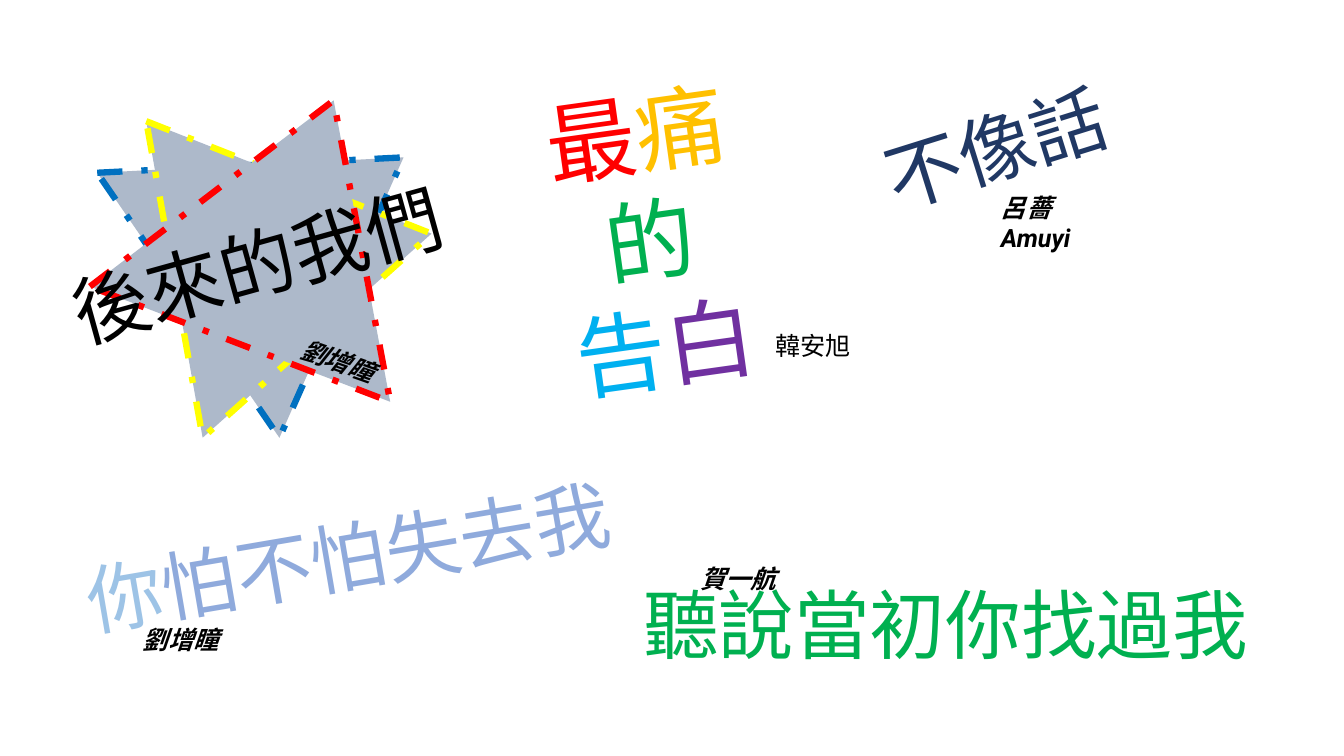
"""Build a slide of song titles and singers around a star of dash-dot triangles."""
from pptx import Presentation
from pptx.dml.color import RGBColor
from pptx.enum.dml import MSO_LINE
from pptx.enum.shapes import MSO_SHAPE
from pptx.enum.text import MSO_AUTO_SIZE, PP_ALIGN
from pptx.util import Inches, Pt

THEME = {
    "star": "ADB9CA", "black": "000000", "blue": "0070C0", "yellow": "FFFF00",
    "red": "FF0000", "gold": "FFC000", "green": "00B050", "cyan": "00B0F0",
    "purple": "7030A0", "sky": "9DC3E6", "periwinkle": "8FAADC", "navy": "203864",
    "big": 64, "title": 54, "singer": 18, "outline": 4.5,
    "title_font": "Open Sans", "singer_font": "Roboto",
}

TRIANGLE_SIZE = (3.19, 2.59)
TRIANGLES = [
    (1.34, 1.00, 55.5, "blue"),
    (1.41, 1.25, 79.9, "yellow"),
    (1.25, 0.91, 21, "red"),
]

TITLES = [
    {"box": (0.57, 2.07, 4.28, 1.01), "rot": 344.5, "wrap": True,
     "lines": [[("後來的我們", "black")]]},
    {"box": (4.21, 0.72, 4.48, 3.33), "rot": 352, "wrap": True,
     "size": "big", "align": PP_ALIGN.CENTER,
     "lines": [[("最", "red"), ("痛", "gold")], [("的", "green")],
               [("告", "cyan"), ("白", "purple")]]},
    {"box": (0.73, 5.01, 5.5, 1.01), "rot": 350.3, "font": "Lato",
     "lines": [[("你", "sky"), ("怕不怕失去我", "periwinkle")]]},
    {"box": (6.28, 5.68, 6.34, 1.01), "wrap": True, "font": "Comic Neue",
     "lines": [[("聽說當初你找過我", "green")]]},
    {"box": (8.65, 0.95, 2.47, 1.01), "rot": 342.6,
     "lines": [[("不像話", "navy")]]},
]

SINGER_SIZE = (0.96, 0.4)
SINGERS = [
    (2.88, 3.38, 19.5, True, ["劉增瞳"]),
    (7.59, 3.23, 0, False, ["韓安旭"]),
    (1.32, 6.14, 0, True, ["劉增瞳"]),
    (6.85, 5.54, 0, True, ["賀一航"]),
    (9.83, 1.86, 0, True, ["呂薔", "Amuyi"]),
]


def color(name):
    return RGBColor.from_string(THEME[name])


def add_triangle(s, left, top, rot, line):
    sp = s.shapes.add_shape(MSO_SHAPE.ISOSCELES_TRIANGLE,
                            *map(Inches, (left, top, *TRIANGLE_SIZE)))
    sp.rotation = rot
    sp.shadow.inherit = False
    sp.fill.solid()
    sp.fill.fore_color.rgb = color("star")
    sp.line.color.rgb = color(line)
    sp.line.width = Pt(THEME["outline"])
    sp.line.dash_style = MSO_LINE.DASH_DOT


def add_text(s, box, lines, rot=0, wrap=False, font="Open Sans", size="title",
             align=PP_ALIGN.LEFT, bold=False):
    sp = s.shapes.add_textbox(*map(Inches, box))
    sp.rotation = rot
    tf = sp.text_frame
    tf.word_wrap = wrap
    tf.auto_size = MSO_AUTO_SIZE.SHAPE_TO_FIT_TEXT
    p = tf.paragraphs[0]
    p.alignment = align
    p.font.name = font
    p.font.size = Pt(THEME[size])
    p.font.bold = p.font.italic = bold
    for i, line in enumerate(lines):
        if i:
            p.add_line_break()
        for text, tint in line:
            r = p.add_run()
            r.text = text
            r.font.color.rgb = color(tint)


prs = Presentation()
prs.slide_width, prs.slide_height = Inches(13.33), Inches(7.5)
s = prs.slides.add_slide(prs.slide_layouts[6])

for triangle in TRIANGLES:
    add_triangle(s, *triangle)
for title in TITLES:
    add_text(s, **{"font": THEME["title_font"], **title})
for left, top, rot, bold, names in SINGERS:
    width, height = SINGER_SIZE
    add_text(s, (left, top, width, height * len(names)),
             [[(name, "black")] for name in names], rot=rot, bold=bold,
             wrap=len(names) > 1, font=THEME["singer_font"], size="singer")

prs.save("out.pptx")
